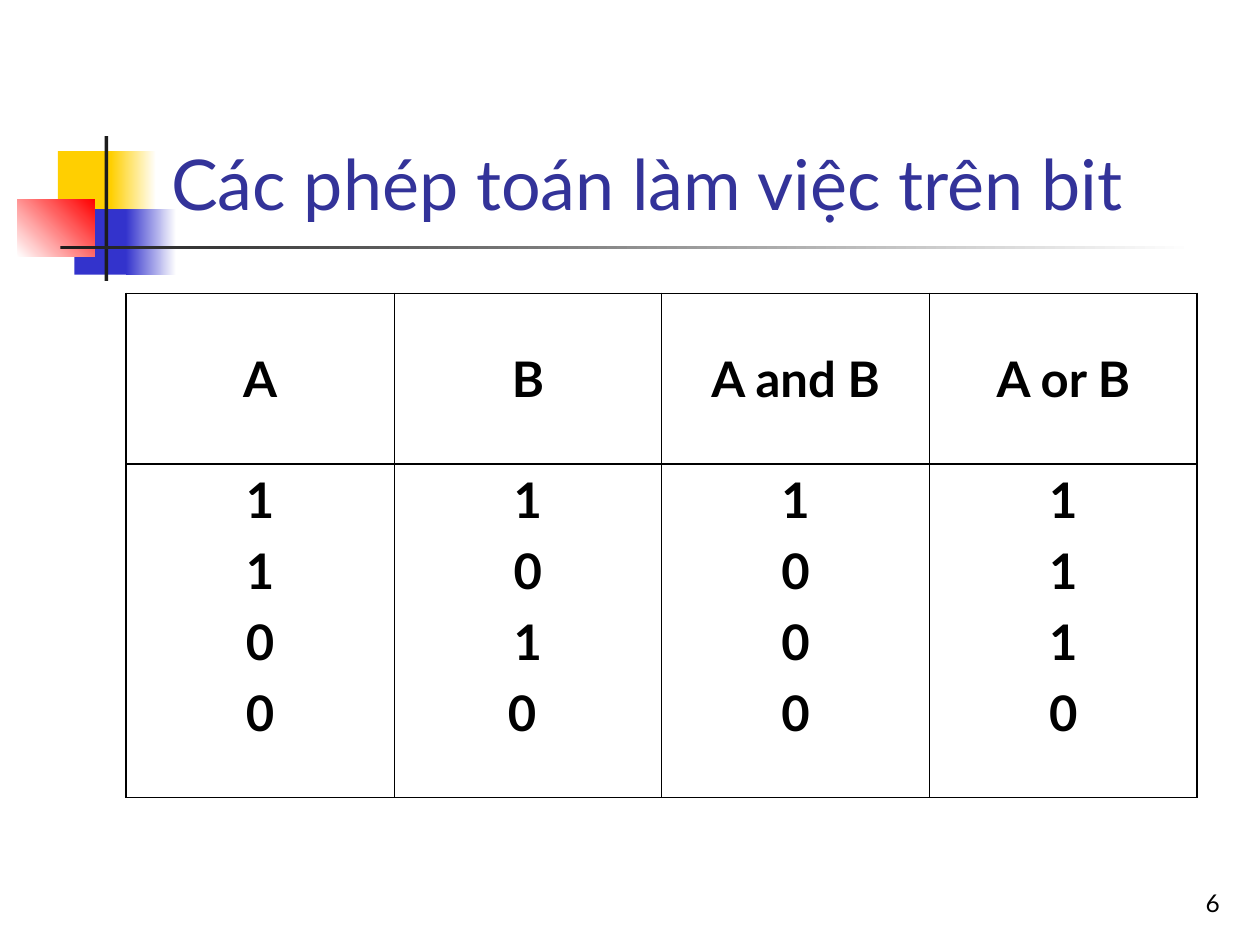
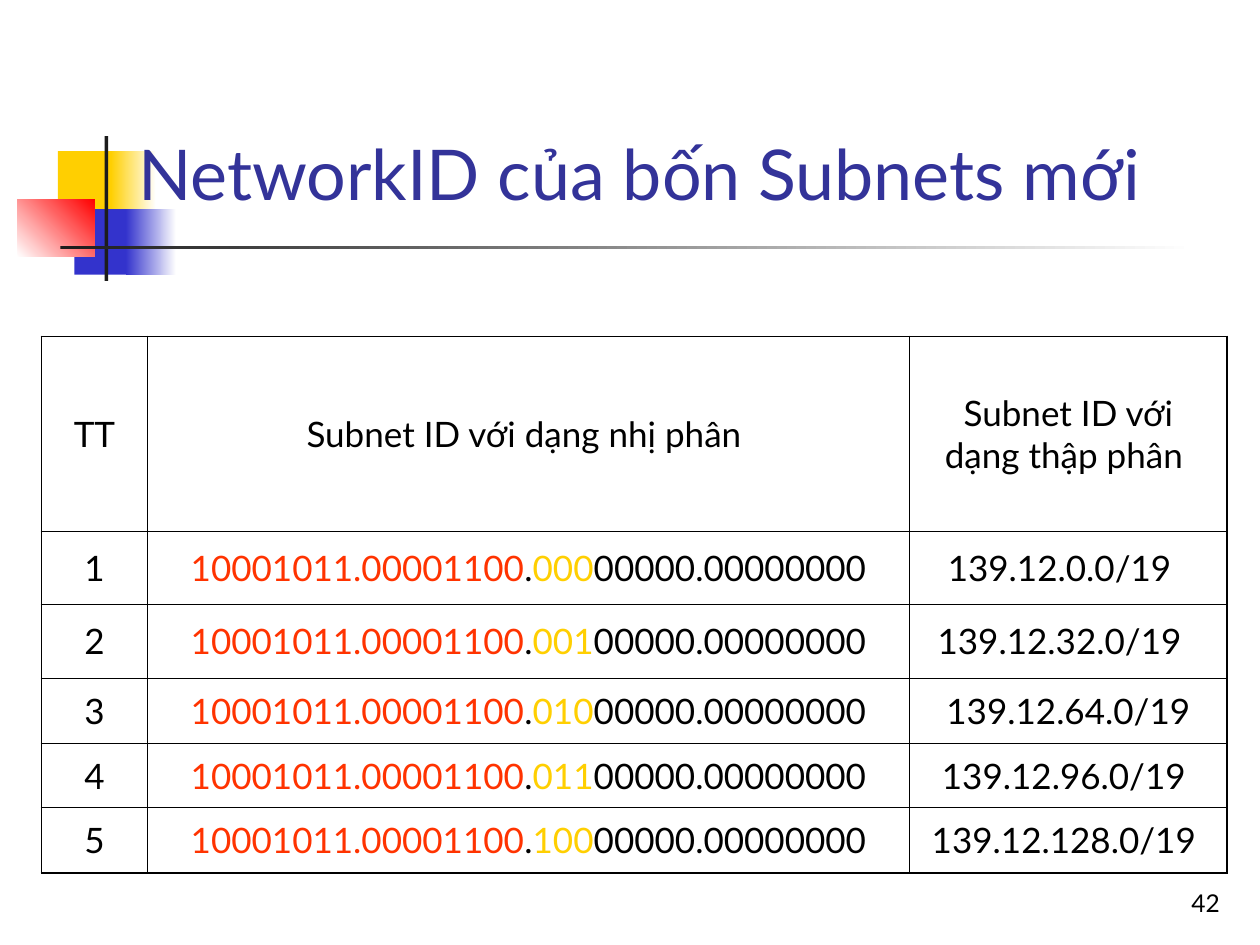
from pptx import Presentation
from pptx.dml.color import RGBColor
from pptx.enum.shapes import MSO_SHAPE
from pptx.enum.text import MSO_ANCHOR as ANCHOR, PP_ALIGN as ALIGN
from pptx.oxml import parse_xml
from pptx.oxml.ns import nsdecls
from pptx.util import Inches, Pt

COLORS = {
    "white": "FFFFFF", "black": "000000", "title": "333399", "yellow": "FFCF01",
    "blue": "3333CC", "red": "FF0000", "dark": "1C1C1C", "network": "FF3300",
}
FONT = "Lato"
THICK, THIN = 1.08, 0.45
DECOR = [
    ((0.46, 1.2, 0.48, 0.52), ("yellow",), 0),
    ((0.88, 1.2, 0.36, 0.52), ("yellow", "white"), 0),
    ((0.59, 1.66, 0.46, 0.52), ("blue",), 0),
    ((1, 1.66, 0.4, 0.52), ("blue", "white"), 0),
    ((0.14, 1.58, 0.61, 0.46), ("white", "red"), 45),
    ((0.83, 1.08, 0.03, 1.15), ("dark",), 0),
    ((0.48, 1.95, 9, 0.03), ("dark", "white"), 0),
]


def rgb(name):
    """Return the named colour."""
    return RGBColor.from_string(COLORS[name])


def inches(values):
    """Convert a sequence of numbers to lengths."""
    return [Inches(v) for v in values]


class Deck:
    """Holds the style and the current slide."""

    def __init__(self):
        """Open an empty 10 by 7.5 inch presentation."""
        self.prs = Presentation()
        self.prs.slide_width, self.prs.slide_height = inches((10, 7.5))

    def slide(self, title, title_box, number):
        """Start a slide with its decoration, number and title."""
        self.s = self.prs.slides.add_slide(self.prs.slide_layouts[6])
        for box, fill, angle in DECOR:
            self.rect(box, fill, angle)
        self.text((7.7, 6.83, 2.08, 0.5), str(number), 14, "black", ALIGN.RIGHT)
        self.text(title_box, title, 40, "title", ALIGN.LEFT)

    def rect(self, box, fill, angle):
        """Draw a rectangle with a plain or two-colour fill."""
        sp = self.s.shapes.add_shape(MSO_SHAPE.RECTANGLE, *inches(box))
        sp.shadow.inherit = False
        sp.line.fill.background()
        if len(fill) == 1:
            sp.fill.solid()
            sp.fill.fore_color.rgb = rgb(fill[0])
            return
        sp.fill.gradient()
        sp.fill.gradient_angle = angle
        for position, (stop, name) in enumerate(zip(sp.fill.gradient_stops, fill)):
            stop.color.rgb = rgb(name)
            stop.position = position

    def text(self, box, text, size, color, align):
        """Add a bottom-anchored text box."""
        tf = self.s.shapes.add_textbox(*inches(box)).text_frame
        tf.word_wrap = True
        tf.vertical_anchor = ANCHOR.BOTTOM
        self.paragraph(tf.paragraphs[0], [(text, color)], align, size=Pt(size))

    def paragraph(self, p, runs, align, **font):
        """Fill a paragraph with coloured runs."""
        p.alignment = align
        for text, color in runs:
            r = p.add_run()
            r.text = text
            r.font.color.rgb = rgb(color)
            for key, value in {"name": FONT, **font}.items():
                setattr(r.font, key, value)

    def borders(self, cell, widths):
        """Set the left, right, top and bottom borders of a cell."""
        tcPr = cell._tc.get_or_add_tcPr()
        for side, width in zip("LRTB", widths):
            tcPr.append(parse_xml(
                f'<a:ln{side} {nsdecls("a")} w="{Pt(width)}"><a:solidFill>'
                f'<a:srgbClr val="{COLORS["black"]}"/></a:solidFill></a:ln{side}>'))

    def table(self, box, cols, heights, rows, before, heavy=(), top=(), **font):
        """Add a table whose cells are lists of paragraphs of runs."""
        shape = self.s.shapes.add_table(len(rows), len(cols), *inches(box))
        table = shape.table
        table.first_row = table.horz_banding = False
        for col, width in zip(table.columns, inches(cols)):
            col.width = width
        for row, height in zip(table.rows, inches(heights)):
            row.height = height
        across = {0, len(rows), *heavy}
        down = {0, len(cols)}
        for i, row in enumerate(rows):
            for j, paragraphs in enumerate(row):
                cell = table.cell(i, j)
                self.borders(cell, [THICK if edge in lines else THIN for edge, lines in
                                    ((j, down), (j + 1, down), (i, across), (i + 1, across))])
                cell.fill.background()
                cell.vertical_anchor = ANCHOR.TOP if i in top else ANCHOR.MIDDLE
                tf = cell.text_frame
                for k, runs in enumerate(paragraphs):
                    p = tf.add_paragraph() if k else tf.paragraphs[0]
                    p.space_before = Pt(before)
                    self.paragraph(p, runs, ALIGN.CENTER, **font)
        return table


def plain(*lines):
    """Return cell content with one black run per line."""
    return [[(line, "black")] for line in lines]


def binary(octet):
    """Return the binary subnet address with its parts coloured."""
    bits = f"{octet:08b}"
    return [[(f"{139:08b}.{12:08b}", "network"), (".", "black"),
             (bits[:3], "yellow"), (f"{bits[3:]}.{0:08b}", "black")]]


deck = Deck()

deck.slide("Các phép toán làm việc trên bit", (1.26, 0.23, 8.52, 1.6), 6)
truth = [
    [plain(head) for head in ("A", "B", "A and B", "A or B")],
    [plain(*column) for column in ("1100", ("1", "0", "1", "0 "), "1000", "1110")],
]
deck.table((1, 2.33, 8.5, 4), [2.13, 2.12, 2.13, 2.12], [1.35, 2.65], truth,
           before=7, heavy=(1,), top=(1,), size=Pt(28), bold=True)

deck.slide("NetworkID của bốn Subnets mới ", (1, 0.5, 8.5, 1.25), 42)
subnets = [[plain(head) for head in
            ("TT", "Subnet ID với dạng nhị phân ", "Subnet ID với dạng thập phân ")]]
for n, tail in enumerate(("", "", "", " ", " ")):
    octet = 32 * n
    subnets.append([plain(str(n + 1)), binary(octet), plain(f"139.12.{octet}.0/19{tail}")])
table = deck.table((0.33, 2.67, 9.42, 4.25), [0.84, 6.05, 2.52],
                   [1.55, 0.58, 0.58, 0.52, 0.51, 0.52], subnets, before=5, size=Pt(20))
for i in (1, 2):
    table.cell(i, 2).margin_right = Inches(0.24)

deck.prs.save("out.pptx")
